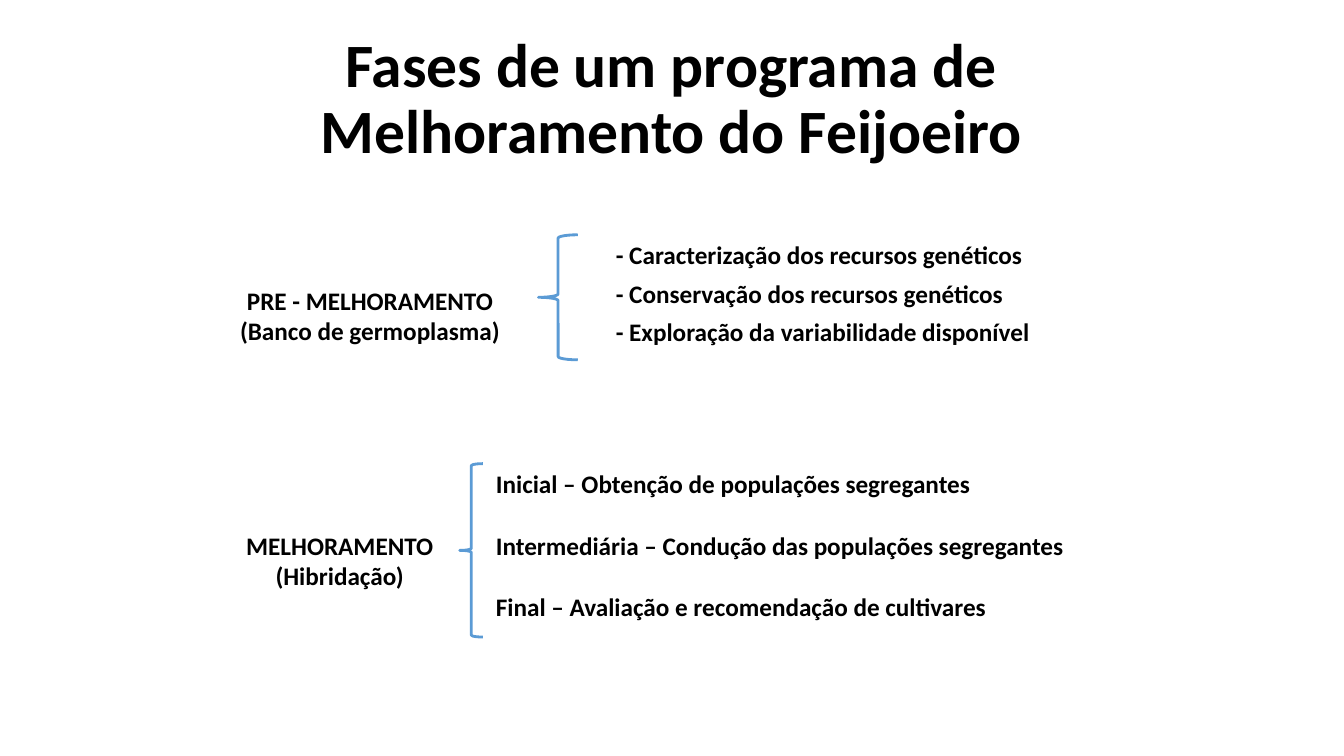
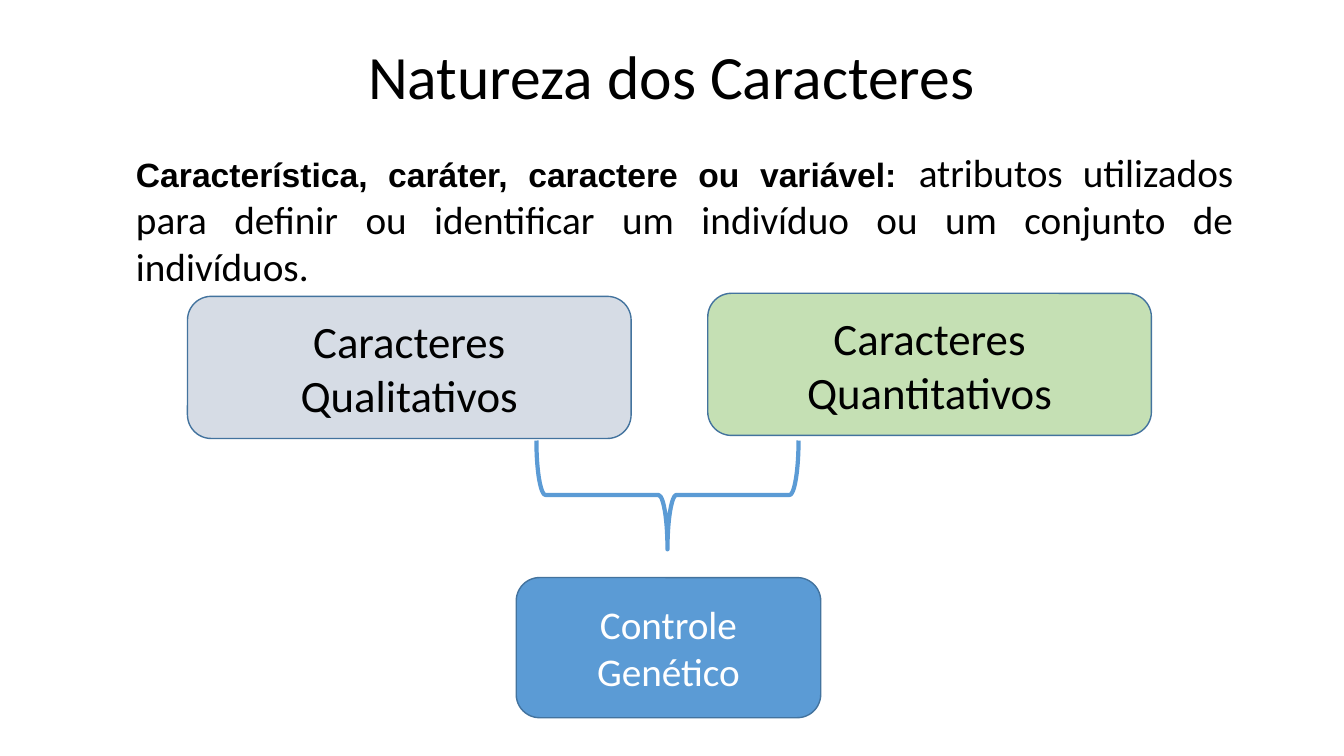
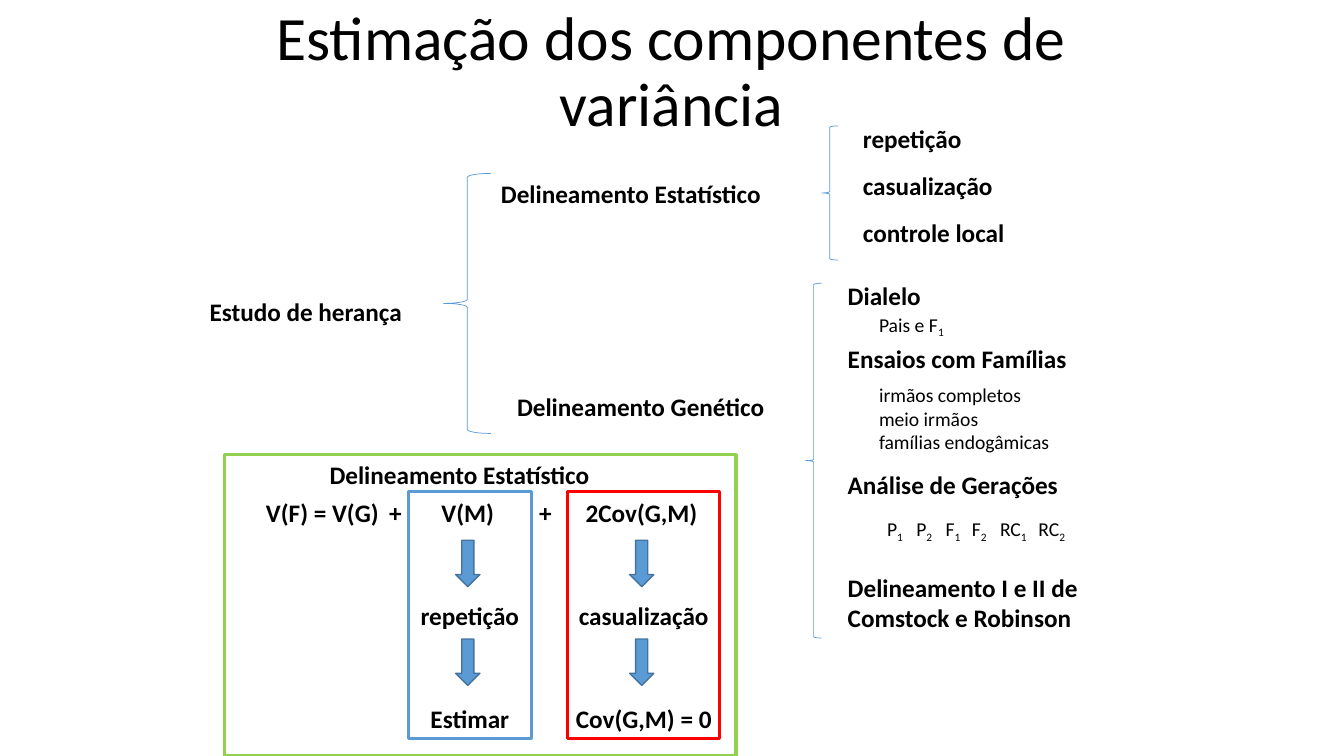
from dataclasses import dataclass

from lxml.etree import SubElement as Sub
from pptx import Presentation
from pptx.dml.color import RGBColor as RGB
from pptx.enum.shapes import MSO_SHAPE as Shape
from pptx.enum.text import MSO_ANCHOR as Anchor, PP_ALIGN as Align
from pptx.oxml.ns import qn
from pptx.util import Inches, Pt


@dataclass(frozen=True)
class Theme:
    font: str = "Calibri"
    alt: str = "Arial"
    ink: str = "000000"
    white: str = "FFFFFF"
    blue: str = "5B9BD5"
    edge: str = "43739E"
    grey: str = "D6DCE5"
    mint: str = "C5E0B4"
    green: str = "92D050"
    red: str = "FF0000"
    title: int = 44
    big: int = 32
    lead: int = 28
    term: int = 24
    body: int = 18
    note: int = 14


T = Theme()


# Shared parts
def add_run(par, text, size, color=T.ink, bold=False, font=T.font, low=False):
    run = par.add_run()
    run.text = text
    run.font.size, run.font.bold, run.font.name = Pt(size), bold, font
    run.font.color.rgb = RGB.from_string(color)
    if low:
        run._r.get_or_add_rPr().set("baseline", "-25000")


def add_box(slide, x, y, w, h):
    frame = slide.shapes.add_textbox(*map(Inches, (x, y, w, h))).text_frame
    frame.word_wrap = True
    return frame


def add_tabs(par, stops):
    tabs = Sub(par._p.get_or_add_pPr(), qn("a:tabLst"))
    for stop in stops:
        Sub(tabs, qn("a:tab"), pos=str(Inches(stop)), algn="l")


def label(slide, x, y, w, *lines, size=T.body, bold=True, align=Align.LEFT, tabs=()):
    """Write lines of text; a part between underscores is a subscript."""
    frame = add_box(slide, x, y, w, 0.1 + len(lines) * size / 60)
    for row, line in enumerate(lines):
        par = frame.add_paragraph() if row else frame.paragraphs[0]
        if tabs:
            add_tabs(par, tabs)
        par.alignment = align
        for i, part in enumerate(line.split("_")):
            if part:
                add_run(par, part, size, bold=bold, low=i % 2 == 1)


def center(slide, mid, y, w, *lines):
    label(slide, mid - w / 2, y, w, *lines, align=Align.CENTER)


def stack(slide, x, y, w, step, rows):
    for i, row in enumerate(rows):
        label(slide, x, y + i * step, w, row)


def shape(slide, kind, box, line, width, fill=None):
    item = slide.shapes.add_shape(kind, *map(Inches, box))
    item.shadow.inherit = False
    if fill:
        item.fill.solid()
        item.fill.fore_color.rgb = RGB.from_string(fill)
    else:
        item.fill.background()
    item.line.color.rgb = RGB.from_string(line)
    item.line.width = Pt(width)
    return item


def brace(slide, x, y, w, h, width):
    shape(slide, Shape.LEFT_BRACE, (x, y, w, h), T.blue, width)


def start(deck, title, top, bold=False):
    slide = deck.slides.add_slide(deck.slide_layouts[6])
    par = add_box(slide, 2.35, top, 8.62, 1.45).paragraphs[0]
    par.alignment, par.line_spacing = Align.CENTER, 0.9
    add_run(par, title, T.title, bold=bold)
    return slide


# Slide 1: phases of the programme
def phase(slide, box, name, mid, drop, rows, left, first, step):
    x, y, w, h = box
    brace(slide, x, y, w, h, 2)
    center(slide, mid, y + drop, 3, *name)
    stack(slide, x + left, y + first, 6, step, rows)


def phases(deck):
    slide = start(deck, "Fases de um programa de Melhoramento do Feijoeiro", 0.29, True)
    phase(slide, (5.34, 2.33, 0.39, 1.24),
          ("PRE - MELHORAMENTO", "(Banco de germoplasma)"), 3.67, 0.45,
          ("- Caracterização dos recursos genéticos",
           "- Conservação dos recursos genéticos",
           "- Exploração da variabilidade disponível"), 0.67, 0, 0.38)
    phase(slide, (4.56, 4.6, 0.23, 1.72),
          ("MELHORAMENTO", "(Hibridação)"), 3.37, 0.61,
          ("Inicial – Obtenção de populações segregantes",
           "Intermediária – Condução das populações segregantes",
           "Final – Avaliação e recomendação de cultivares"), 0.26, 0, 0.61)


# Slide 2: nature of the traits
def card(slide, box, text, size, fill, color=T.ink):
    frame = shape(slide, Shape.ROUNDED_RECTANGLE, box, T.edge, 1, fill).text_frame
    frame.word_wrap = True
    frame.vertical_anchor = Anchor.MIDDLE
    par = frame.paragraphs[0]
    par.alignment = Align.CENTER
    add_run(par, text, size, color)


def traits(deck):
    slide = start(deck, "Natureza dos Caracteres", 0.41)
    join = shape(slide, Shape.RIGHT_BRACE, (6.08, 3.61, 1.08, 2.6), T.blue, 3)
    join.rotation = 90
    card(slide, (5.12, 5.73, 3.02, 1.39), "Controle Genético", T.lead, T.blue, T.white)
    card(slide, (1.86, 2.94, 4.4, 1.41), "Caracteres Qualitativos", T.big, T.grey)
    card(slide, (7.02, 2.91, 4.4, 1.41), "Caracteres Quantitativos", T.big, T.mint)
    # Definition
    par = add_box(slide, 1.25, 1.42, 11.08, 1.99).paragraphs[0]
    par.alignment = Align.JUSTIFY
    add_run(par, "Característica, caráter, caractere ou variável:", T.term,
            bold=True, font=T.alt)
    add_run(par, " ", T.lead, bold=True, font=T.alt)
    add_run(par, "atributos utilizados para definir ou identificar um indivíduo "
            "ou um conjunto de indivíduos.", T.lead)


# Slide 3: variance components
def tree(slide, x, y):
    brace(slide, x, y, 0.47, 2.58, 0.5)
    label(slide, x - 2.42, y + 1.17, 2.4, "Estudo de herança")
    label(slide, x + 0.47, y, 3, "Delineamento Estatístico")
    label(slide, x + 0.63, y + 2.11, 3, "Delineamento Genético")


def basics(slide, x, y):
    brace(slide, x, y, 0.16, 1.33, 0.5)
    stack(slide, x + 0.31, y - 0.08, 2, 0.47,
          ("repetição", "casualização", "controle local"))


def designs(slide, x, y):
    brace(slide, x, y, 0.16, 3.52, 0.5)
    for drop, lines in ((-0.08, ["Dialelo"]), (0.55, ["Ensaios com Famílias"]),
                        (1.8, ["Análise de Gerações"]),
                        (2.82, ["Delineamento I e II de", "Comstock e Robinson"])):
        label(slide, x + 0.32, y + drop, 2.8, *lines)
    for left, drop, lines, tabs in (
            (0.63, 0.24, ["Pais e F_1_"], ()),
            (0.63, 0.94, ["irmãos completos", "meio irmãos", "famílias endogâmicas"], ()),
            (0.71, 2.27, ["P_1_\tP_2_\tF_1_\tF_2_\tRC_1_\tRC_2_"],
             (0.29, 0.58, 0.84, 1.12, 1.5))):
        label(slide, x + left, y + drop, 2.3, *lines, size=T.note, bold=False, tabs=tabs)


def column(slide, box, color, steps):
    x, y, w, h = box
    mid = x + w / 2
    shape(slide, Shape.RECTANGLE, box, color, 2.25)
    for i, step in enumerate(steps):
        shape(slide, Shape.DOWN_ARROW, (mid - 0.14, y + 0.48 + i * 0.98, 0.24, 0.46),
              T.edge, 1, T.blue)
        center(slide, mid, y + 1.03 + i * 1.02, w + 0.4, step)


def panel(slide, x, y, w, h):
    shape(slide, Shape.RECTANGLE, (x, y, w, h), T.green, 2.25)
    label(slide, x + 0.94, y, 3, "Delineamento Estatístico")
    top = y + 0.37
    label(slide, x + 0.31, top, 4.8, "V(F) = V(G)\t+\tV(M)\t+\t2Cov(G,M)",
          tabs=(1.22, 1.74, 2.71, 3.17))
    column(slide, (x + 1.82, top, 1.22, 2.45), T.blue, ("repetição", "Estimar"))
    column(slide, (x + 3.4, top, 1.51, 2.45), T.red, ("casualização", "Cov(G,M) = 0"))


def variance(deck):
    slide = start(deck, "Estimação dos componentes de variância", 0.02)
    tree(slide, 4.4, 1.72)
    basics(slide, 8.15, 1.25)
    designs(slide, 7.99, 2.81)
    panel(slide, 2.23, 4.51, 5.07, 2.99)


def main():
    deck = Presentation()
    deck.slide_width, deck.slide_height = Inches(13.33), Inches(7.5)
    for build in (phases, traits, variance):
        build(deck)
    deck.save("out.pptx")


if __name__ == "__main__":
    main()
